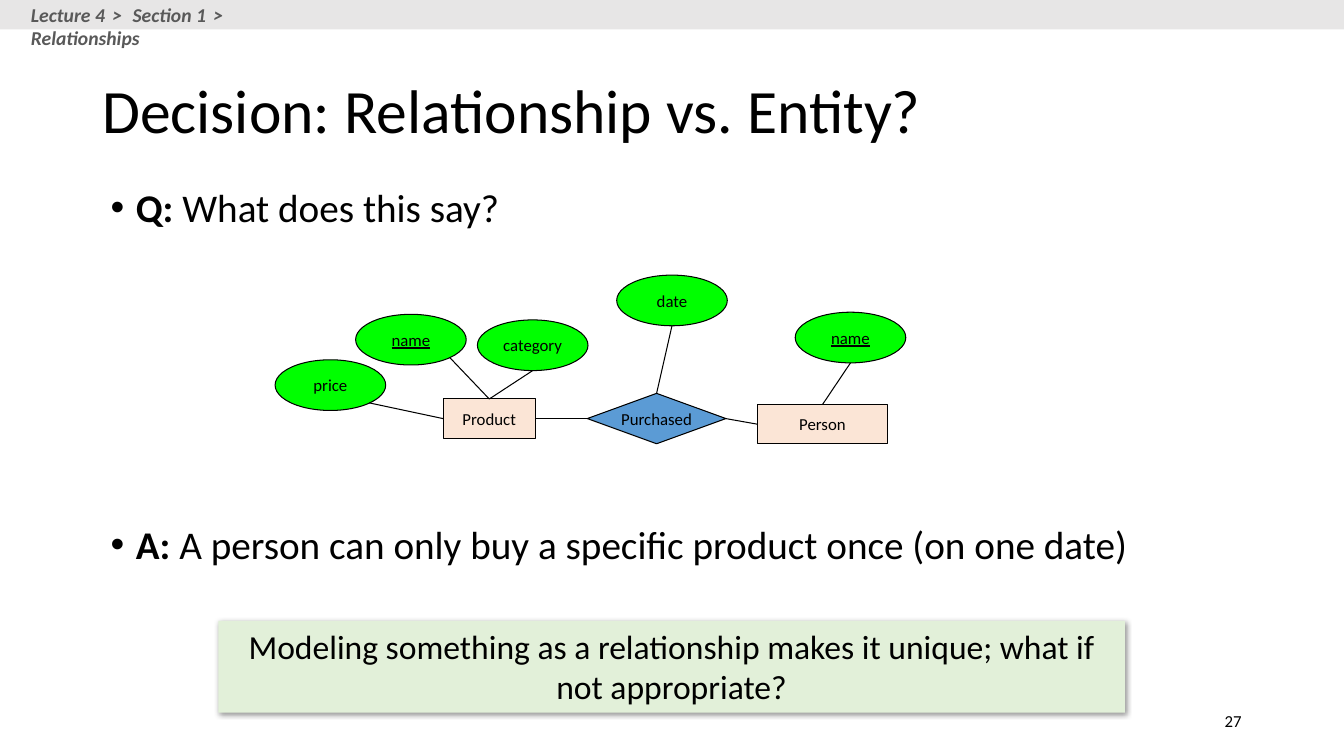
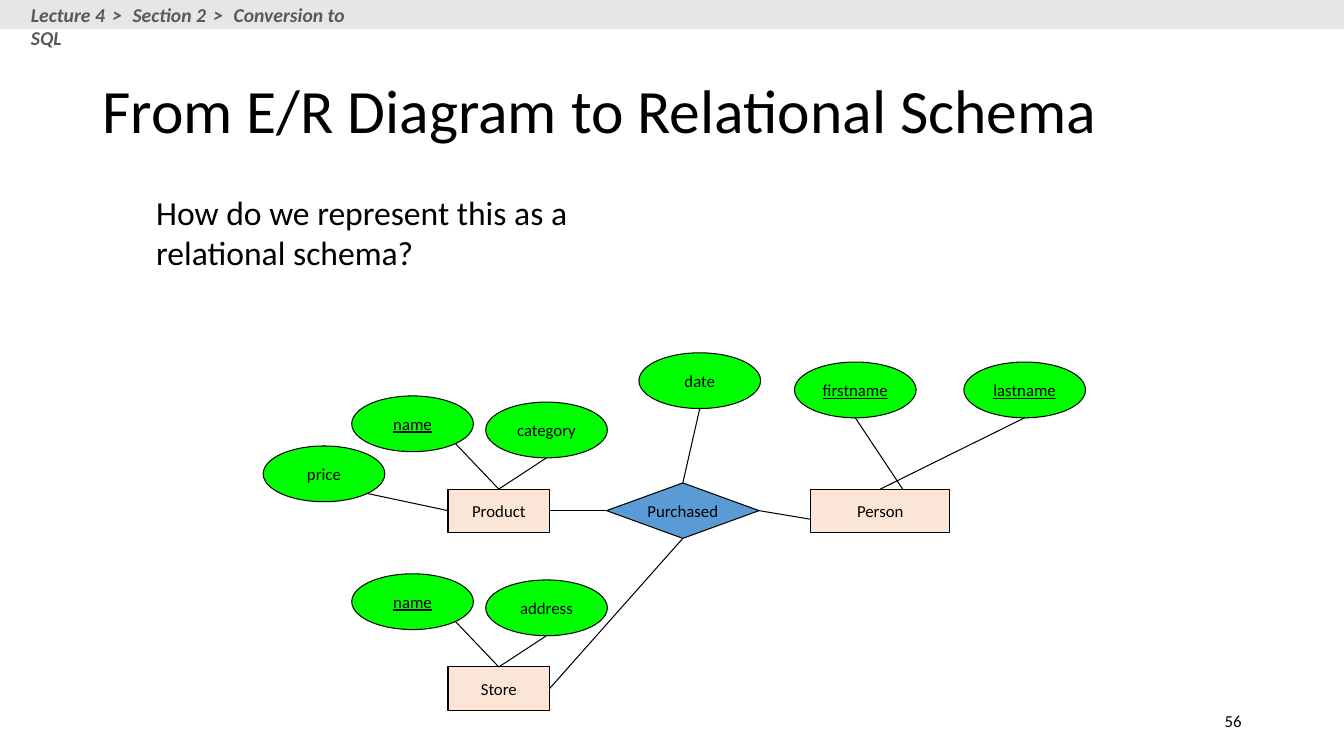
import dataclasses
import typing

import lxml.etree
import pptx
import pptx.dml.color
import pptx.enum.shapes
import pptx.enum.text
import pptx.oxml
import pptx.oxml.ns
import pptx.util

Pt = pptx.util.Pt
Color = pptx.dml.color.RGBColor
Align = pptx.enum.text.PP_ALIGN
Anchor = pptx.enum.text.MSO_ANCHOR
Preset = pptx.enum.shapes.MSO_SHAPE
qn = pptx.oxml.ns.qn


@dataclasses.dataclass(frozen=True)
class Theme:
    font: str = "Calibri"
    ink: Color = Color(0x00, 0x00, 0x00)
    band: Color = Color(0xE7, 0xE6, 0xE6)
    trail: Color = Color(0x59, 0x59, 0x59)
    attribute: Color = Color(0x00, 0xFF, 0x00)
    entity: Color = Color(0xFB, 0xE5, 0xD6)
    relationship: Color = Color(0x5B, 0x9B, 0xD5)
    callout: Color = Color(0xE2, 0xF0, 0xD9)
    title_size: int = 44
    body_size: int = 28
    note_size: int = 24
    trail_size: int = 14
    label_size: int = 12
    line_width: float = 0.75


THEME = Theme()
SLIDE_WIDTH, SLIDE_HEIGHT = 960, 540

# Ports are fractions of a shape's width and height.
TOP, LEFT, BOTTOM, RIGHT = (0.5, 0), (0, 0.5), (0.5, 1), (1, 0.5)
LOWER_RIGHT = (0.85, 0.85)
SIDES = [TOP, LEFT, BOTTOM, RIGHT]


def add_run(paragraph, text, size, color=THEME.ink, bold=False, italic=False, underline=False):
    run = paragraph.add_run()
    run.text = text
    font = run.font
    font.name, font.size = THEME.font, Pt(size)
    font.color.rgb = color
    font.bold, font.italic, font.underline = bold, italic, underline
    return run


def add_text_box(slide, box, anchor=Anchor.TOP):
    """Add an empty wrapping text box and return its text frame."""
    frame = slide.shapes.add_textbox(*map(Pt, box)).text_frame
    frame.word_wrap = True
    frame.vertical_anchor = anchor
    return frame


def add_filled_shape(slide, preset, box, color, outlined=False):
    shape = slide.shapes.add_shape(preset, *map(Pt, box))
    shape.shadow.inherit = False
    shape.fill.solid()
    shape.fill.fore_color.rgb = color
    if outlined:
        shape.line.color.rgb = THEME.ink
        shape.line.width = Pt(THEME.line_width)
    else:
        shape.line.fill.background()
    return shape


def add_trail(slide, steps, width):
    """Add the top band with the section trail."""
    add_filled_shape(slide, Preset.RECTANGLE, (0, 0, SLIDE_WIDTH, 21), THEME.band)
    paragraph = add_text_box(slide, (15, -1.5, width, 24)).paragraphs[0]
    for index, step in enumerate(steps):
        if index:
            separator = add_run(paragraph, " > ", THEME.trail_size, THEME.trail, True, True)
            separator.font._element.set("spc", "210")
        add_run(paragraph, step, THEME.trail_size, THEME.trail, True, True)


def add_frame(presentation, title, number, steps, trail_width):
    """Add a slide with the title, page number and trail that all slides share."""
    slide = presentation.slides.add_slide(presentation.slide_layouts[6])
    add_trail(slide, steps, trail_width)
    heading = add_text_box(slide, (66, 28.8, 828, 104.4), Anchor.MIDDLE).paragraphs[0]
    heading.line_spacing = 0.9
    add_run(heading, title, THEME.title_size)
    footer = add_text_box(slide, (678, 500.5, 216, 28.8), Anchor.MIDDLE).paragraphs[0]
    footer.alignment = Align.RIGHT
    add_run(footer, number, THEME.label_size)
    return slide


def add_bullets(slide, box, items, gap):
    """Add bullets, each a bold lead and a plain text, with a gap between them."""
    frame = add_text_box(slide, box)
    for index, (lead, text) in enumerate(items):
        paragraph = frame.add_paragraph() if index else frame.paragraphs[0]
        properties = paragraph._p.get_or_add_pPr()
        properties.set("marL", str(Pt(18)))
        properties.set("indent", str(-Pt(18)))
        bullet_font = lxml.etree.SubElement(properties, qn("a:buFont"))
        bullet_font.set("typeface", "Arial")
        lxml.etree.SubElement(properties, qn("a:buChar")).set("char", "•")
        paragraph.line_spacing = 0.9
        if index:
            paragraph.space_before = Pt(gap)
        add_run(paragraph, lead, THEME.body_size, bold=True)
        add_run(paragraph, text, THEME.body_size)


def add_callout(slide, box, text):
    shape = add_filled_shape(slide, Preset.RECTANGLE, box, THEME.callout)
    effects = shape._element.spPr.find(qn("a:effectLst"))
    effects.append(pptx.oxml.parse_xml(
        f'<a:outerShdw {pptx.oxml.ns.nsdecls("a")} blurRad="{Pt(4)}" dist="{Pt(1)}" '
        'dir="2700000" algn="tl" rotWithShape="0"><a:srgbClr val="000000">'
        '<a:alpha val="40000"/></a:srgbClr></a:outerShdw>'))
    frame = shape.text_frame
    frame.word_wrap = True
    frame.vertical_anchor = Anchor.TOP
    frame.paragraphs[0].alignment = Align.CENTER
    add_run(frame.paragraphs[0], text, THEME.note_size)


@dataclasses.dataclass
class Diagram:
    """An E/R diagram; positions count from its corner, before scaling."""
    slide: typing.Any
    left: float
    top: float
    scale: float = 1

    def add_node(self, preset, label, x, y, width, height, color, key=False):
        scale = self.scale
        box = (self.left + x * scale, self.top + y * scale, width * scale, height * scale)
        shape = add_filled_shape(self.slide, preset, box, color, outlined=True)
        frame = shape.text_frame
        frame.word_wrap = False
        frame.vertical_anchor = Anchor.MIDDLE
        frame.paragraphs[0].alignment = Align.CENTER
        add_run(frame.paragraphs[0], label, THEME.label_size, underline=key)
        return shape

    def add_attribute(self, label, x, y, key=False):
        return self.add_node(Preset.OVAL, label, x, y, 79, 36.2, THEME.attribute, key)

    def add_entity(self, label, x, y, width):
        return self.add_node(Preset.RECTANGLE, label, x, y, width, 28, THEME.entity)

    def link(self, start, start_port, end, end_port):
        """Draw a line between two ports, joined where a port is the middle of a side."""
        ends = [(start, start_port), (end, end_port)]
        points = [int(value) for shape, (across, down) in ends
                  for value in (shape.left + across * shape.width,
                                shape.top + down * shape.height)]
        connector = self.slide.shapes.add_connector(
            pptx.enum.shapes.MSO_CONNECTOR.STRAIGHT, *points)
        connector.line.color.rgb = THEME.ink
        connector.line.width = Pt(THEME.line_width)
        for (shape, port), join in zip(ends, (connector.begin_connect, connector.end_connect)):
            if port in SIDES and shape.auto_shape_type != Preset.OVAL:
                join(shape, SIDES.index(port))
        lxml.etree.SubElement(connector._element.spPr, qn("a:effectLst"))

    def add_described_entity(self, label, second_attribute, y):
        """Add an entity with a key called name and one more attribute above it."""
        entity = self.add_entity(label, 120, y + 60.5, 66)
        name = self.add_attribute("name", 57.5, y, key=True)
        second = self.add_attribute(second_attribute, 144.5, y + 4)
        self.link(name, LOWER_RIGHT, entity, TOP)
        self.link(second, BOTTOM, entity, TOP)
        return entity

    def add_purchase(self):
        """Add Product, the Purchased relationship and their attributes."""
        purchased = self.add_node(
            Preset.DIAMOND, "Purchased", 223, 84.5, 99, 36, THEME.relationship)
        product = self.add_described_entity("Product", "category", 28)
        price = self.add_attribute("price", 0, 60.5)
        date = self.add_attribute("date", 244, 0)
        self.link(price, LOWER_RIGHT, product, LEFT)
        self.link(product, RIGHT, purchased, LEFT)
        self.link(date, BOTTOM, purchased, TOP)
        return purchased


def build_decision_slide(presentation):
    slide = add_frame(presentation, "Decision: Relationship vs. Entity?", "27",
                      ["Lecture 4", "Section 1", "Relationships"], 220)
    add_bullets(slide, (72, 131, 816, 296.5), [
        ("Q: ", "What does this say?"),
        ("A: ", "A person can only buy a specific product once (on one date)"),
    ], gap=210.5)
    diagram = Diagram(slide, 196.5, 196.5)
    purchased = diagram.add_purchase()
    person = diagram.add_entity("Person", 344.5, 92.5, 93)
    name = diagram.add_attribute("name", 371.5, 26.5, key=True)
    diagram.link(purchased, RIGHT, person, LEFT)
    diagram.link(name, BOTTOM, person, TOP)
    add_callout(slide, (156, 443.5, 647.5, 65.5),
                "Modeling something as a relationship makes it unique; what if not appropriate?")


def build_schema_slide(presentation):
    slide = add_frame(presentation, "From E/R Diagram to Relational Schema", "56",
                      ["Lecture 4", "Section 2", "Conversion to SQL"], 259)
    diagram = Diagram(slide, 188, 252, scale=1.1)
    purchased = diagram.add_purchase()
    person = diagram.add_entity("Person", 355.5, 88.5, 90.5)
    first_name = diagram.add_attribute("firstname", 345, 6, key=True)
    last_name = diagram.add_attribute("lastname", 455, 6, key=True)
    store = diagram.add_described_entity("Store", "address", 143.5)
    diagram.link(purchased, RIGHT, person, (0, 0.7))
    diagram.link(first_name, BOTTOM, person, (0.66, 0))
    diagram.link(last_name, BOTTOM, person, TOP)
    diagram.link(store, RIGHT, purchased, BOTTOM)
    question = add_text_box(slide, (104.5, 133.5, 314, 65.5)).paragraphs[0]
    add_run(question, "How do we represent this as a relational schema?", THEME.note_size)


def main():
    presentation = pptx.Presentation()
    presentation.slide_width = Pt(SLIDE_WIDTH)
    presentation.slide_height = Pt(SLIDE_HEIGHT)
    build_decision_slide(presentation)
    build_schema_slide(presentation)
    presentation.save("out.pptx")


if __name__ == "__main__":
    main()
